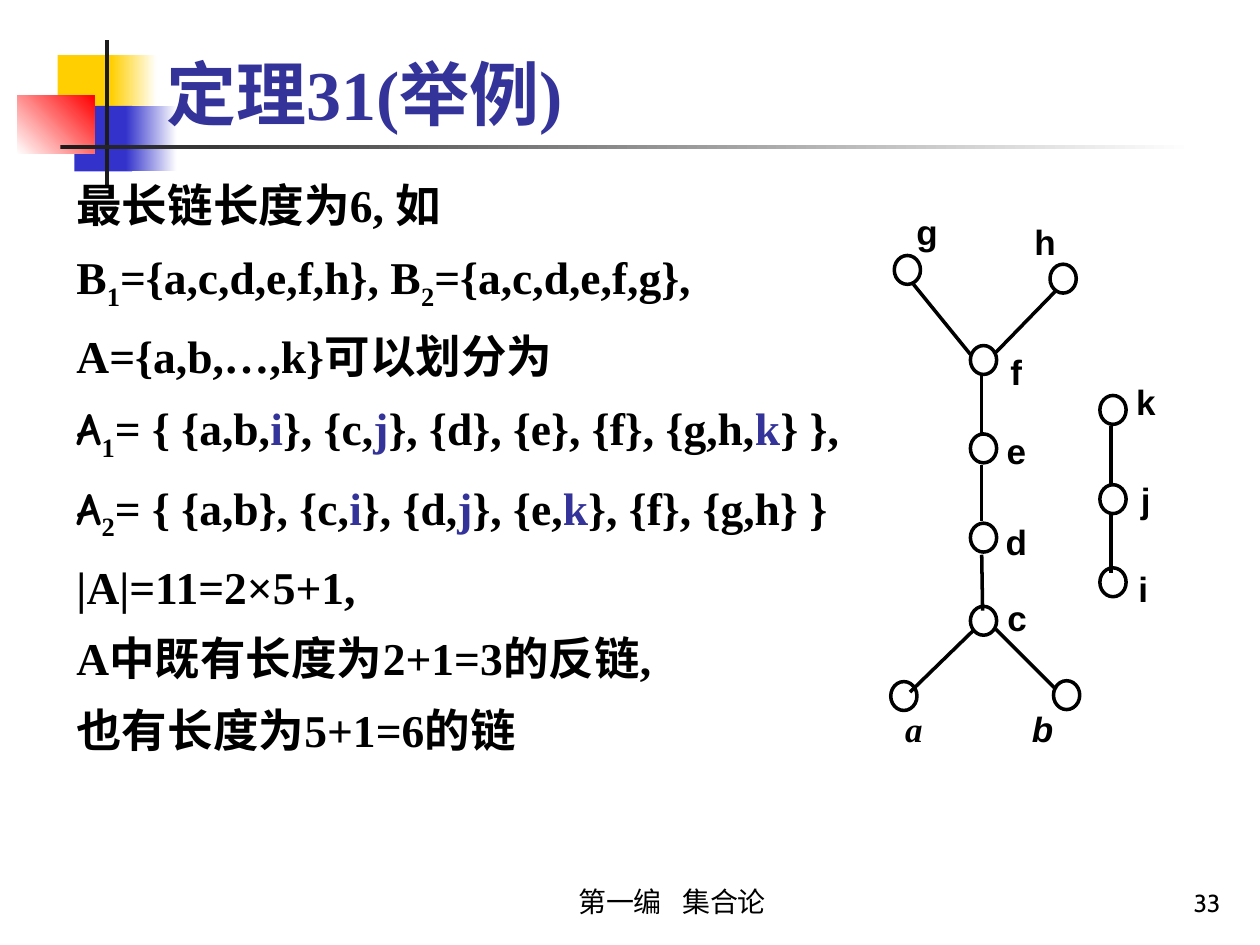
import pptx
import pptx.util
import pptx.dml.color
import pptx.enum.shapes
import pptx.enum.text
import pptx.oxml.ns
import lxml.etree

Pt = pptx.util.Pt
ALIGN = pptx.enum.text.PP_ALIGN
ANCHOR = pptx.enum.text.MSO_ANCHOR
SHAPE = pptx.enum.shapes.MSO_SHAPE

THEME = {
    "serif": "Times New Roman", "sans": "Arial", "script": "Comic Neue", "number": "Cabin",
    "text": "000000", "accent": "333399", "dark": "1C1C1C", "white": "FFFFFF",
    "yellow": "FFCF01", "blue": "3333CC", "red": "FF0000",
    "title_size": 40, "body_size": 26, "label_size": 20, "footer_size": 16, "number_size": 14,
    "line_width": 2,
}

TITLE = "定理31(举例)"
SUB = {"baseline": -25000}
SCRIPT = {"font": "script"}
ACCENT = {"color": "accent"}
BODY = [
    [("最长链长度为6, 如", {})],
    [("B", {}), ("1", SUB), ("={a,c,d,e,f,h}, B", {}), ("2", SUB), ("={a,c,d,e,f,g},", {})],
    [("A={a,b,…,k}可以划分为", {})],
    [("A", SCRIPT), ("1", SUB), ("= { {a,b,", {}), ("i", ACCENT), ("}, {c,", {}), ("j", ACCENT),
     ("}, {d}, {e}, {f}, {g,h,", {}), ("k", ACCENT), ("} },", {})],
    [("A", SCRIPT), ("2", SUB), ("= { {a,b}, {c,", {}), ("i", ACCENT), ("}, {d,", {}),
     ("j", ACCENT), ("}, {e,", {}), ("k", ACCENT), ("}, {f}, {g,h} }", {})],
    [("|A|=11=2×5+1,", {})],
    [("A中既有长度为2+1=3的反链,", {})],
    [("也有长度为5+1=6的链", {})],
]
FOOTER = [("第一编", {}), (" ", {"spacing": 800}), ("集合论", {})]
PAGE_NUMBER = "33"

DECORATIONS = [
    ((33, 31.5, 34.5, 37.5), ["yellow"], 0),
    ((63.5, 31.5, 26, 37.5), ["yellow", "white"], 0),
    ((42.5, 60.5, 33, 37.5), ["blue"], 0),
    ((72, 60.5, 29, 37.5), ["blue", "white"], 0),
    ((10, 54.5, 44, 33.5), ["white", "red"], 45),
    ((60, 23, 2.3, 83), ["dark"], 0),
    ((34.5, 83, 648, 2.2), ["dark", "white"], 0),
]

TRUNK_X, SIDE_X = 554.5, 628.5
NODE_SIZE = (15, 16.5)
LABEL_SIZE = (29.5, 22.5)
NODES = {
    "g": ((511, 146), (515, 116.5)),
    "h": ((600, 151), (582.5, 122.5)),
    "f": ((TRUNK_X, 197.5), (566, 196.5)),
    "e": ((TRUNK_X, 248), (566, 242)),
    "d": ((TRUNK_X, 299), (566, 294)),
    "c": ((TRUNK_X, 346.5), (566.5, 337.5)),
    "a": ((509, 389.5), (507.5, 400.5)),
    "b": ((602, 389), (581, 400.5)),
    "k": ((SIDE_X, 226), (640, 214)),
    "j": ((SIDE_X, 277), (640, 270)),
    "i": ((SIDE_X, 324.5), (638.5, 321)),
}
LABEL_STYLE = {"a": {"font": "serif", "italic": True}, "b": {"italic": True}}
EDGES = [
    ((522, 162.5), (554.5, 202.5)),
    ((604, 165.5), (568, 202.5)),
    ((561, 214.5), (561, 247.5)),
    ((561, 265.5), (561, 298)),
    ((561, 317), (561.5, 349)),
    ((556, 360.5), (520, 395.5)),
    ((569, 359.5), (603.5, 394)),
    ((635, 243.5), (635, 276.5)),
    ((635, 294.5), (635, 327.5)),
]


def color(name):
    return pptx.dml.color.RGBColor.from_string(THEME[name])


def points(values):
    return [Pt(value) for value in values]


def add_run(paragraph, text, size, font="serif", color_name="text", bold=False, style=None):
    style = style or {}
    run = paragraph.add_run()
    run.text = text
    run.font.name = THEME[style.get("font", font)]
    run.font.size = Pt(THEME[size])
    run.font.bold = bold
    run.font.italic = style.get("italic", False)
    run.font.color.rgb = color(style.get("color", color_name))
    properties = run._r.get_or_add_rPr()
    if "baseline" in style:
        properties.set("baseline", str(style["baseline"]))
    if "spacing" in style:
        properties.set("spc", str(style["spacing"]))


def prepare_frame(shape, anchor):
    frame = shape.text_frame
    frame.word_wrap = True
    frame.auto_size = pptx.enum.text.MSO_AUTO_SIZE.NONE
    frame.vertical_anchor = anchor
    return frame


def place(shape, box):
    shape.left, shape.top, shape.width, shape.height = points(box)
    shape.element.getparent().append(shape.element)


def add_text(slide, box, runs, size, font, align, anchor, bold=False):
    shape = slide.shapes.add_textbox(*points(box))
    paragraph = prepare_frame(shape, anchor).paragraphs[0]
    paragraph.alignment = align
    for text, style in runs:
        add_run(paragraph, text, size, font, bold=bold, style=style)


def add_decoration(slide, box, colors, angle):
    shape = slide.shapes.add_shape(SHAPE.RECTANGLE, *points(box))
    shape.shadow.inherit = False
    shape.line.fill.background()
    if len(colors) == 1:
        shape.fill.solid()
        shape.fill.fore_color.rgb = color(colors[0])
        return
    shape.fill.gradient()
    shape.fill.gradient_angle = angle
    for stop, name in zip(shape.fill.gradient_stops, colors):
        stop.color.rgb = color(name)


def outline(line):
    line.color.rgb = color("text")
    line.width = Pt(THEME["line_width"])


def add_diagram(slide):
    for start, end in EDGES:
        edge = slide.shapes.add_connector(
            pptx.enum.shapes.MSO_CONNECTOR.STRAIGHT, *points(start + end))
        outline(edge.line)
        lxml.etree.SubElement(edge.element.spPr, pptx.oxml.ns.qn("a:effectLst"))
    for name, (node_at, label_at) in NODES.items():
        node = slide.shapes.add_shape(SHAPE.OVAL, *points(node_at + NODE_SIZE))
        node.shadow.inherit = False
        node.fill.background()
        outline(node.line)
        add_text(slide, label_at + LABEL_SIZE, [(name, LABEL_STYLE.get(name, {}))],
                 "label_size", "sans", ALIGN.CENTER, ANCHOR.TOP, bold=True)


def fill_title(title):
    place(title, (88, 20, 613.5, 60.5))
    paragraph = prepare_frame(title, ANCHOR.BOTTOM).paragraphs[0]
    paragraph.alignment = ALIGN.LEFT
    add_run(paragraph, TITLE, "title_size", color_name="accent", bold=True)


def fill_body(body):
    place(body, (36.5, 94.5, 657.5, 391))
    frame = prepare_frame(body, ANCHOR.TOP)
    for index, runs in enumerate(BODY):
        paragraph = frame.add_paragraph() if index else frame.paragraphs[0]
        properties = paragraph._p.get_or_add_pPr()
        properties.set("marL", str(Pt(27)))
        properties.set("indent", str(-Pt(27)))
        lxml.etree.SubElement(properties, pptx.oxml.ns.qn("a:buNone"))
        paragraph.line_spacing = 1.1
        paragraph.space_before = Pt(6.5 if index else 0)
        for text, style in runs:
            add_run(paragraph, text, "body_size", bold=True, style=style)


def main():
    presentation = pptx.Presentation()
    presentation.slide_width, presentation.slide_height = points((720, 540))
    slide = presentation.slides.add_slide(presentation.slide_layouts[1])
    for decoration in DECORATIONS:
        add_decoration(slide, *decoration)
    add_text(slide, (554.5, 492, 150, 36), [(PAGE_NUMBER, {})],
             "number_size", "number", ALIGN.RIGHT, ANCHOR.BOTTOM)
    add_text(slide, (270, 492, 228, 36), FOOTER,
             "footer_size", "serif", ALIGN.CENTER, ANCHOR.BOTTOM)
    fill_title(slide.shapes.title)
    fill_body(slide.placeholders[1])
    add_diagram(slide)
    presentation.save("out.pptx")


if __name__ == "__main__":
    main()
